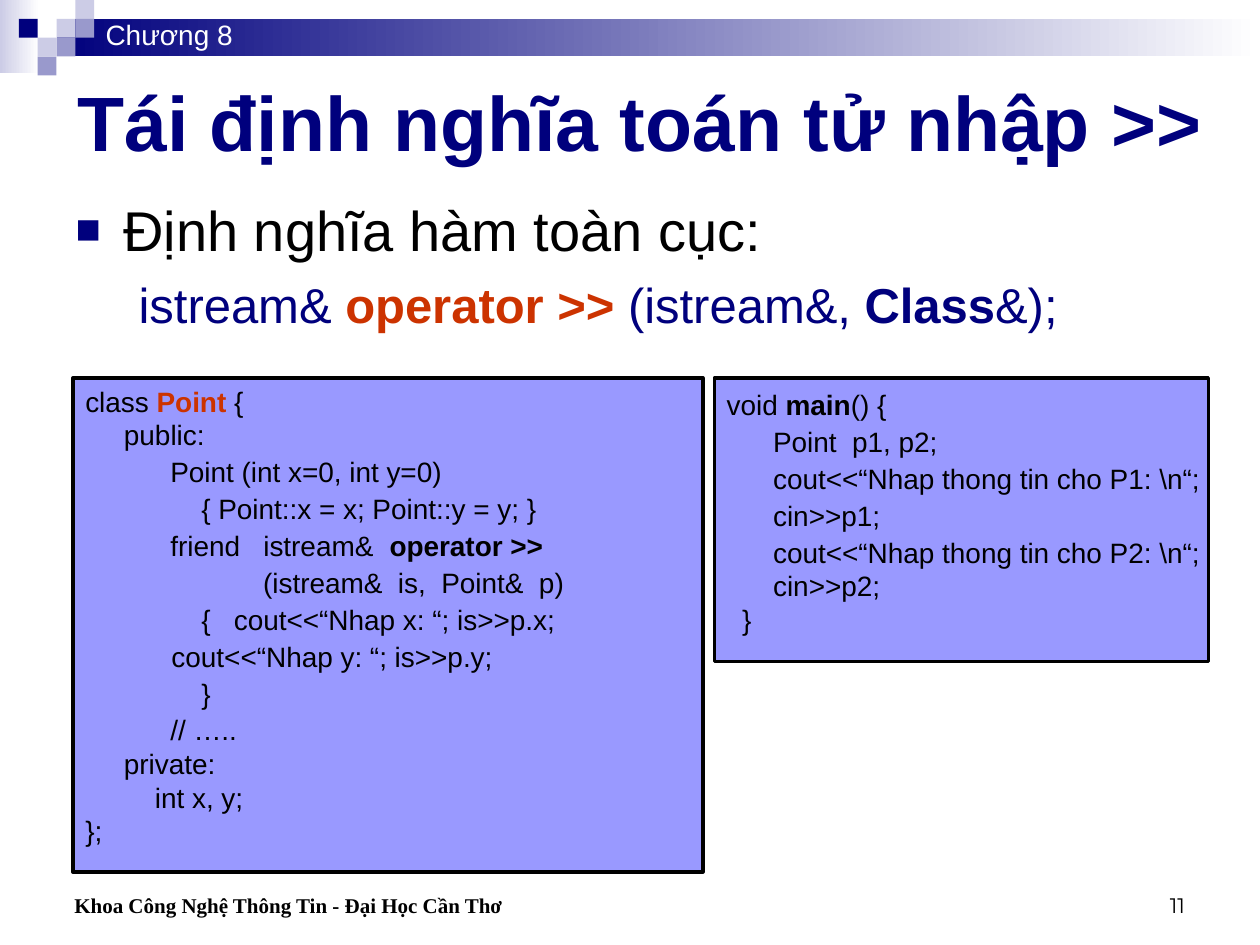
from lxml import etree
from pptx import Presentation
from pptx.dml.color import RGBColor
from pptx.enum.shapes import MSO_SHAPE
from pptx.enum.text import MSO_ANCHOR, MSO_AUTO_SIZE, PP_ALIGN
from pptx.oxml.ns import qn
from pptx.util import Cm, Pt

RECT = MSO_SHAPE.RECTANGLE
TOP, MIDDLE, BOTTOM = MSO_ANCHOR.TOP, MSO_ANCHOR.MIDDLE, MSO_ANCHOR.BOTTOM
LEFT, CENTER, RIGHT = PP_ALIGN.LEFT, PP_ALIGN.CENTER, PP_ALIGN.RIGHT
NO_FIT = MSO_AUTO_SIZE.NONE
NAVY, LILAC, PALE = "00007D", "9999CC", "CCCCE6"
BLACK, WHITE, RED, CODE_FILL = "000000", "FFFFFF", "CC3300", "9999FF"


def rgb(color):
    return RGBColor.from_string(color)


def add_runs(p, parts, size, font="Arial"):
    """Add a run for each (text, colour, bold) in parts."""
    for text, color, bold in parts:
        r = p.add_run()
        r.text = text
        r.font.size, r.font.name, r.font.bold = Pt(size), font, bold
        r.font.color.rgb = rgb(color)


prs = Presentation()
prs.slide_width, prs.slide_height = Cm(25.4), Cm(19.05)
s = prs.slides.add_slide(prs.slide_layouts[1])

# Header: two fading bands, then squares on a grid
for x, y, w, h, start, end in [(0, 0, 0.79, 1.47, PALE, WHITE),
                               (1.14, 0.38, 24.26, 0.76, NAVY, WHITE)]:
    sp = s.shapes.add_shape(RECT, Cm(x), Cm(y), Cm(w), Cm(h))
    sp.shadow.inherit = False
    sp.line.fill.background()
    sp.fill.gradient()
    sp.fill.gradient_angle = 0
    for stop, color in zip(sp.fill.gradient_stops, (start, end)):
        stop.color.rgb = rgb(color)

SIDE = 0.38
for col, row, color in [(3, 1, PALE), (4, 0, PALE), (4, 1, LILAC), (2, 2, PALE),
                        (1, 1, NAVY), (3, 2, LILAC), (2, 3, LILAC)]:
    sp = s.shapes.add_shape(RECT, Cm(col * SIDE), Cm(row * SIDE), Cm(SIDE), Cm(SIDE))
    sp.shadow.inherit = False
    sp.line.fill.background()
    sp.fill.solid()
    sp.fill.fore_color.rgb = rgb(color)

# Title
title = s.shapes.title
title.left, title.top, title.width, title.height = Cm(1.27), Cm(1.27), Cm(23.29), Cm(2.34)
tf = title.text_frame
tf.auto_size, tf.vertical_anchor = NO_FIT, MIDDLE
p = tf.paragraphs[0]
p.alignment = CENTER
add_runs(p, [("Tái định nghĩa toán tử nhập >>", NAVY, True)], 44)

# Body: a bulleted line and the signature below it
body = s.placeholders[1]
body.left, body.top, body.width, body.height = Cm(1.27), Cm(3.81), Cm(22.86), Cm(3.38)
tf = body.text_frame
tf.auto_size, tf.vertical_anchor = NO_FIT, TOP
p = tf.paragraphs[0]
pPr = p._p.get_or_add_pPr()
pPr.set("marL", str(Cm(0.96)))
pPr.set("indent", str(Cm(-0.96)))
clr = etree.SubElement(pPr, qn("a:buClr"))
etree.SubElement(clr, qn("a:srgbClr"), val=NAVY)
etree.SubElement(pPr, qn("a:buSzPct"), val="75000")
etree.SubElement(pPr, qn("a:buFont"), typeface="Arial")
etree.SubElement(pPr, qn("a:buChar"), char="■")
p.space_before = Pt(0)
add_runs(p, [("Định nghĩa hàm toàn cục:", BLACK, False)], 32)

p = tf.add_paragraph()
p.level = 1
pPr = p._p.get_or_add_pPr()
pPr.set("marL", str(Cm(2.06)))
pPr.set("indent", str(Cm(-0.79)))
etree.SubElement(pPr, qn("a:buNone"))
p.space_before = Pt(7)
add_runs(p, [("istream& ", NAVY, False), ("operator >>", RED, True),
             (" (istream&, ", NAVY, False), ("Class", NAVY, True),
             ("&);", NAVY, False)], 28)

# Code boxes: each line is its spacing and its parts; a plain string is one black run
point_class = [
    (1, [("class ", BLACK, False), ("Point", RED, True), (" {", BLACK, False)]),
    (1, "     public:"),
    (1.1, "           Point (int x=0, int y=0)"),
    (1.1, "               { Point::x = x; Point::y = y; }"),
    (1.1, [("           friend   istream&  ", BLACK, False), ("operator >>", BLACK, True)]),
    (1.1, "                       (istream&  is,  Point&  p)"),
    (1.1, "               {   cout<<“Nhap x: “; is>>p.x;"),
    (1.1, "\t   cout<<“Nhap y: “; is>>p.y;"),
    (1.1, "               }"),
    (1.1, "           // ….."),
    (1, "     private:"),
    (1, "         int x, y;"),
    (1, "};"),
]
main_function = [
    (1.1, [("void ", BLACK, False), ("main", BLACK, True), ("() {", BLACK, False)]),
    (1.1, "      Point  p1, p2;"),
    (1.1, "      cout<<“Nhap thong tin cho P1: \\n“;"),
    (1.1, "      cin>>p1;"),
    (1.1, "      cout<<“Nhap thong tin cho P2: \\n“;"),
    (1, "      cin>>p2;"),
    (1, "  }"),
]
for x, w, h, lines in [(1.47, 12.7, 9.96, point_class), (14.4, 9.96, 5.72, main_function)]:
    sp = s.shapes.add_shape(RECT, Cm(x), Cm(7.62), Cm(w), Cm(h))
    sp.shadow.inherit = False
    sp.fill.solid()
    sp.fill.fore_color.rgb = rgb(CODE_FILL)
    sp.line.color.rgb = rgb(BLACK)
    sp.line.width = Pt(2)
    tf = sp.text_frame
    tf.word_wrap, tf.vertical_anchor, tf.margin_right = True, TOP, 0
    for i, (spacing, parts) in enumerate(lines):
        p = tf.add_paragraph() if i else tf.paragraphs[0]
        p.alignment, p.line_spacing = LEFT, spacing
        add_runs(p, [(parts, BLACK, False)] if isinstance(parts, str) else parts, 16)

# Chapter label, footer and page number
for x, y, w, h, text, size, font, color, bold, align, anchor, margin in [
    (1.88, 0.23, 4.45, 0.94, "Chương 8", 16, "Arial", WHITE, False, LEFT, TOP, 0.25),
    (0.64, 17.35, 12.27, 1.27, "Khoa Công Nghệ Thông Tin - Đại Học Cần Thơ", 12,
     "Times New Roman", BLACK, True, LEFT, BOTTOM, 0.86),
    (18.21, 17.35, 5.93, 1.27, "11", 12, "Montserrat", BLACK, False, RIGHT, BOTTOM, 0.25),
]:
    tf = s.shapes.add_textbox(Cm(x), Cm(y), Cm(w), Cm(h)).text_frame
    tf.word_wrap, tf.vertical_anchor, tf.margin_left = True, anchor, Cm(margin)
    p = tf.paragraphs[0]
    p.alignment = align
    add_runs(p, [(text, color, bold)], size, font)

prs.save("out.pptx")
